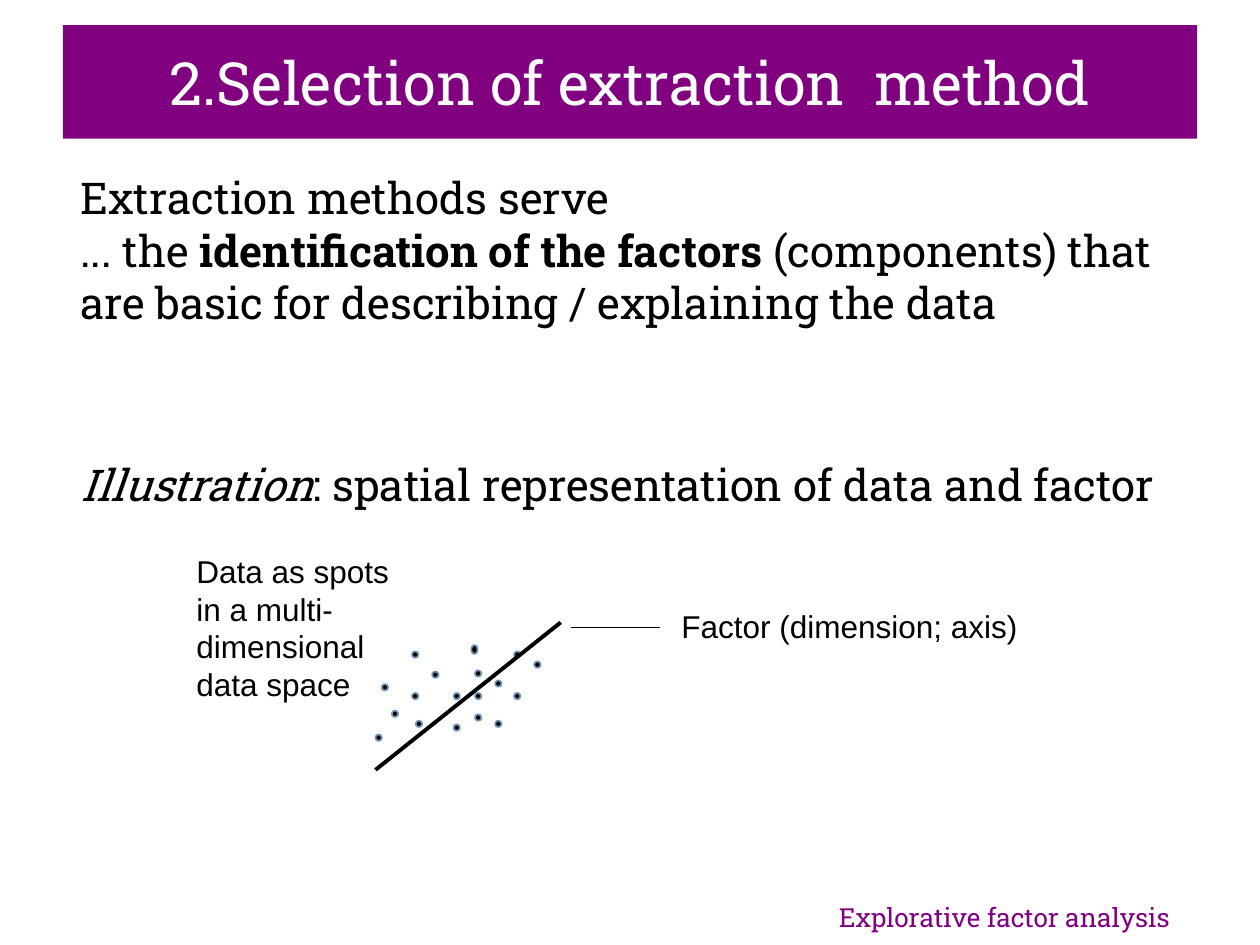
"""Build a slide on selecting a factor extraction method."""
from lxml import etree
from pptx import Presentation
from pptx import util as u
from pptx.dml.color import RGBColor
from pptx.enum import shapes, text
from pptx.oxml.ns import qn

PURPLE = RGBColor(0x80, 0x00, 0x80)
WHITE = RGBColor(0xFF, 0xFF, 0xFF)
BLACK = RGBColor(0x00, 0x00, 0x00)
SPOT_EDGE = RGBColor(0x6F, 0x95, 0xBC)
SLAB = "Roboto Slab"
SPOT_SIZE = 0.05
SPOTS = [
    (3.27, 5.17), (3.43, 5.33), (2.98, 5.83), (3.6, 5.75), (4.08, 5.5),
    (3.27, 5.5), (3.77, 5.5), (4.24, 5.25), (3.6, 5.5), (3.77, 5.32),
    (3.77, 5.67), (3.93, 5.72), (3.93, 5.4), (4.08, 5.17), (3.3, 5.72),
    (3.03, 5.43), (3.11, 5.64),
]


def inches(*lengths):
    """Convert numbers to lengths in inches."""
    return [u.Inches(length) for length in lengths]


def write_paragraph(paragraph, runs, *, size, font=SLAB, color=BLACK,
                    align=text.PP_ALIGN.LEFT, space_before=0):
    """Write (words, style) runs, where style is "", "bold" or "italic"."""
    paragraph.alignment = align
    if space_before:
        paragraph.space_before = u.Pt(space_before)
    for words, style in runs:
        run = paragraph.add_run()
        run.text = words
        run.font.name = font
        run.font.size = u.Pt(size)
        run.font.color.rgb = color
        run.font.bold = style == "bold"
        run.font.italic = style == "italic"


def add_text_box(slide, box, wrap=True):
    """Add an empty text box and return its text frame."""
    frame = slide.shapes.add_textbox(*inches(*box)).text_frame
    frame.word_wrap = wrap
    return frame


def add_label(slide, box, words, wrap=True, **style):
    """Add a text box with one paragraph."""
    frame = add_text_box(slide, box, wrap)
    write_paragraph(frame.paragraphs[0], [(words, "")], **style)


def add_filled_shape(slide, kind, box, fill):
    """Add a flat preset shape without an outline."""
    shape = slide.shapes.add_shape(kind, *inches(*box))
    shape.shadow.inherit = False
    shape.fill.solid()
    shape.fill.fore_color.rgb = fill
    shape.line.fill.background()
    return shape


def add_title(slide, words):
    """Add the title banner."""
    banner = add_filled_shape(slide, shapes.MSO_SHAPE.RECTANGLE,
                              (0.5, 0.2, 9, 0.9), PURPLE)
    banner.text_frame.word_wrap = True
    banner.text_frame.vertical_anchor = text.MSO_ANCHOR.MIDDLE
    write_paragraph(banner.text_frame.paragraphs[0], [(words, "")], size=34,
                    color=WHITE, align=text.PP_ALIGN.CENTER)


def add_body(slide):
    """Add the explanation and the heading of the illustration."""
    frame = add_text_box(slide, (0.54, 1.31, 9.19, 2.8))
    write_paragraph(frame.paragraphs[0], [("Extraction methods serve", "")],
                    size=25)
    write_paragraph(frame.add_paragraph(), [
        ("... the ", ""),
        ("identification of the factors ", "bold"),
        ("(components) that are basic for describing / explaining the data", ""),
    ], size=25)
    write_paragraph(frame.add_paragraph(), [
        ("Illustration", "italic"),
        (": spatial representation of data and factor", ""),
    ], size=25, space_before=74)


def add_spot(slide, left, top, height=SPOT_SIZE):
    """Add one data spot."""
    spot = add_filled_shape(slide, shapes.MSO_SHAPE.OVAL,
                            (left, top, SPOT_SIZE, height), BLACK)
    spot.line.color.rgb = SPOT_EDGE
    spot.line.width = u.Pt(1)


def add_line(slide, start, end, width):
    """Add a straight black line without a shadow."""
    line = slide.shapes.add_connector(shapes.MSO_CONNECTOR.STRAIGHT,
                                      *inches(*start, *end))
    line.line.color.rgb = BLACK
    line.line.width = u.Pt(width)
    etree.SubElement(line._element.spPr, qn("a:effectLst"))


def main():
    """Build and save the slide."""
    presentation = Presentation()
    presentation.slide_width, presentation.slide_height = inches(10, 7.5)
    slide = presentation.slides.add_slide(presentation.slide_layouts[6])

    add_title(slide, "2.Selection of extraction  method")
    add_body(slide)
    add_label(slide, (6.56, 7.1, 2.89, 0.35), "Explorative factor analysis",
              wrap=False, size=15, color=PURPLE)

    for left, top in SPOTS:
        add_spot(slide, left, top)
    add_spot(slide, 3.74, 5.12, height=0.07)
    add_line(slide, (2.98, 6.11), (4.45, 4.94), 2.25)
    add_label(slide, (1.46, 4.33, 1.73, 1.3),
              "Data as spots in a multi-dimensional data space",
              size=18, font="Arial")
    add_label(slide, (5.31, 4.77, 3.31, 0.4), "Factor (dimension; axis)",
              size=18, font="Arial")
    add_line(slide, (5.24, 4.98), (4.53, 4.98), 0.5)

    presentation.save("out.pptx")


if __name__ == "__main__":
    main()
